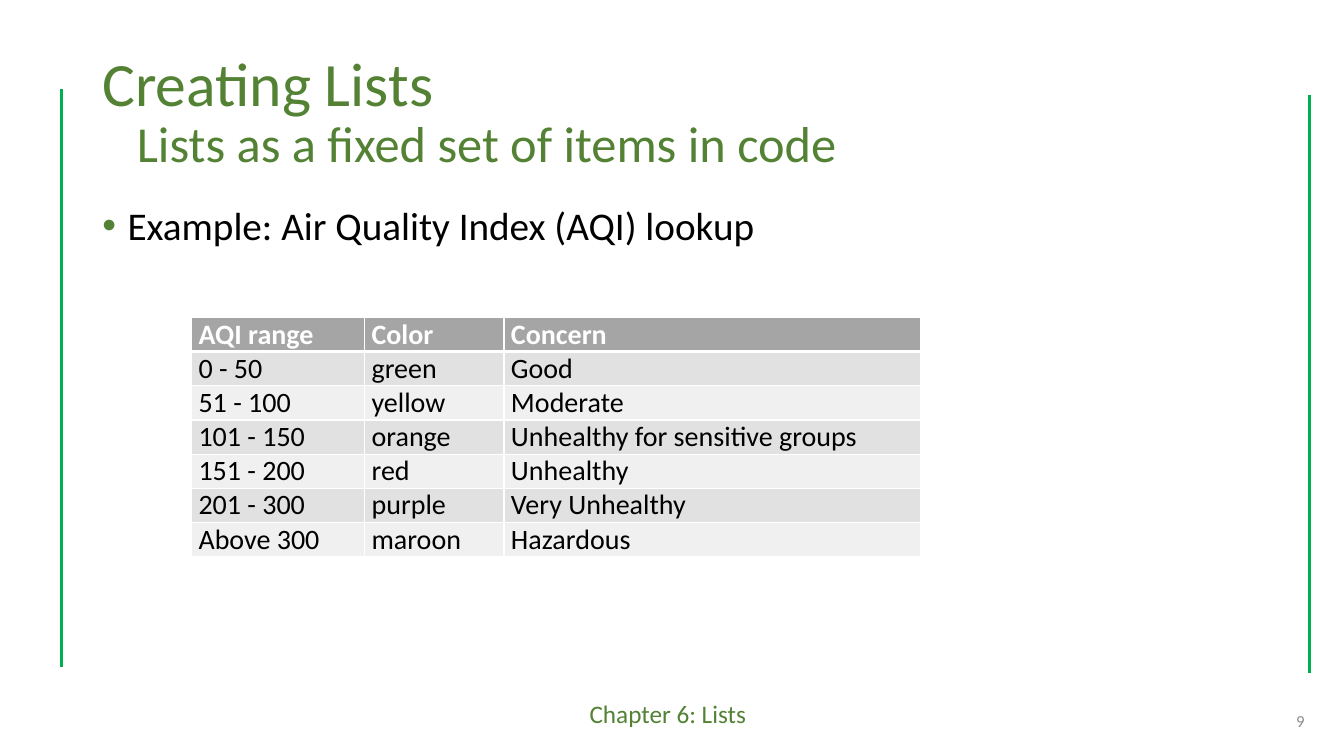
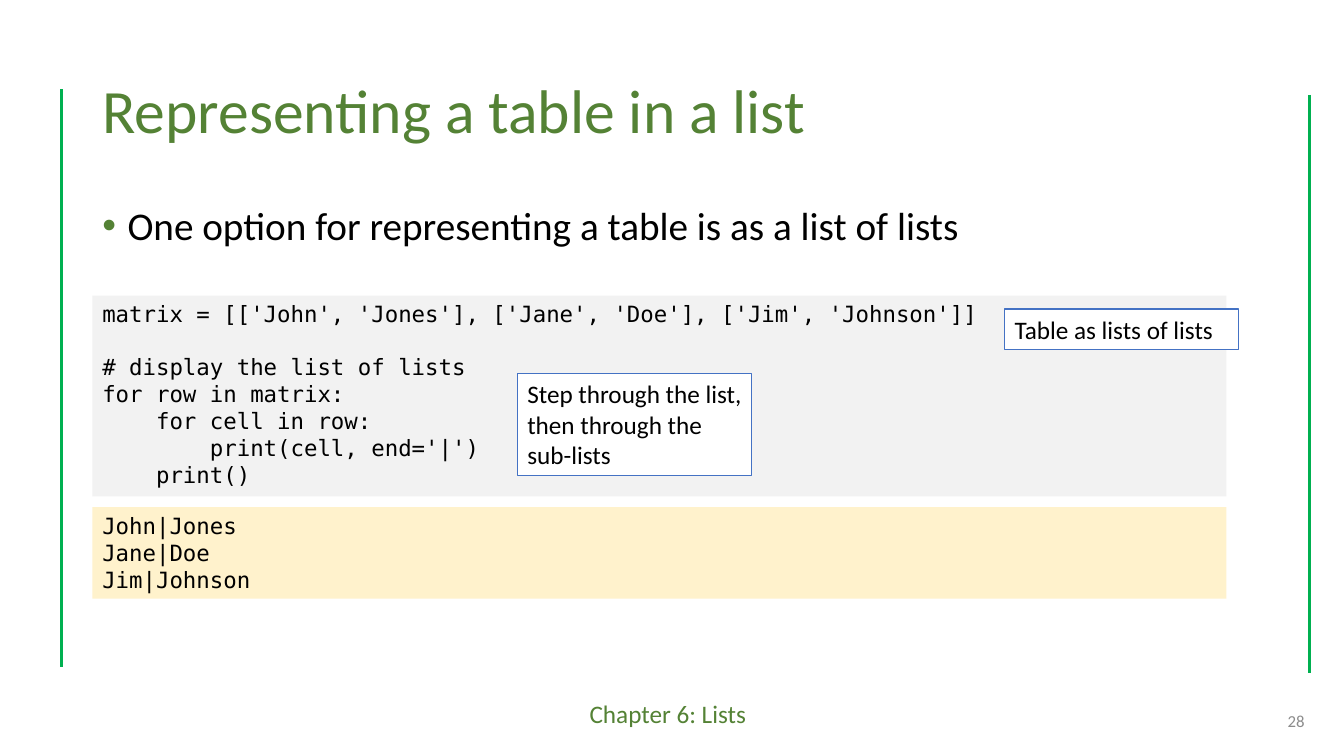
from lxml.etree import SubElement
from pptx import Presentation
from pptx.dml.color import RGBColor
from pptx.enum.shapes import MSO_CONNECTOR as Connector, MSO_SHAPE as Preset
from pptx.enum.text import MSO_ANCHOR as Anchor, PP_ALIGN as Align
from pptx.oxml import parse_xml
from pptx.oxml.ns import nsdecls, qn
from pptx.util import Inches, Pt

COLORS = {
    "title": "548235", "side line": "00B050", "text": "000000", "number": "8C8C8C",
    "white": "FFFFFF", "header": "A5A5A5", "odd row": "E1E1E1", "even row": "F0F0F0",
    "code": "F2F2F2", "output": "FFF2CC", "callout line": "4472C4",
}
BODY_FONT, CODE_FONT = "Calibri", "DejaVu Sans Mono"

presentation = Presentation()
presentation.slide_width, presentation.slide_height = Inches(13.33), Inches(7.5)
# The grid has 160 columns and 90 rows of square cells.
CELL = presentation.slide_width / 160


def grid(*cells):
    """Turn counts of grid cells into lengths."""
    return [round(count * CELL) for count in cells]


def add_text(slide, box, lines, size, color="text", font=BODY_FONT, fill=None, line=None,
             anchor=Anchor.TOP, align=Align.LEFT):
    """Add a text box, or a rectangle if a fill is given; return its paragraphs."""
    if fill:
        shape = slide.shapes.add_shape(Preset.RECTANGLE, *grid(*box))
        shape.shadow.inherit = False
        shape.fill.solid()
        shape.fill.fore_color.rgb = RGBColor.from_string(COLORS[fill])
        if line:
            shape.line.color.rgb = RGBColor.from_string(COLORS[line])
            shape.line.width = Pt(0.75)
        else:
            shape.line.fill.background()
    else:
        shape = slide.shapes.add_textbox(*grid(*box))
    frame = shape.text_frame
    frame.word_wrap = True
    frame.vertical_anchor = anchor
    for index, text in enumerate(lines):
        paragraph = frame.add_paragraph() if index else frame.paragraphs[0]
        paragraph.alignment = align
        run = paragraph.add_run()
        run.text = text
        run.font.name, run.font.size = font, Pt(size)
        run.font.color.rgb = RGBColor.from_string(COLORS[color])
    return frame.paragraphs


PAGES = [
    (["Creating Lists", "Lists as a fixed set of items in code"],
     "Example: Air Quality Index (AQI) lookup", "9"),
    (["Representing a table in a list"],
     "One option for representing a table is as a list of lists", "28"),
]
slides = []
for title, bullet, number in PAGES:
    slide = presentation.slides.add_slide(presentation.slide_layouts[6])
    slides.append(slide)
    add_text(slide, (68, 82.6, 23, 4.8), ["Chapter 6: Lists"], 18, "title", align=Align.CENTER)
    for column, top in ((7.3, 10.6), (155.9, 11.3)):
        side_line = slide.shapes.add_connector(
            Connector.STRAIGHT, *grid(column, top, column, top + 68.8))
        side_line.line.color.rgb = RGBColor.from_string(COLORS["side line"])
        side_line.line.width = Pt(2.25)
        SubElement(side_line._element.spPr, qn("a:effectLst"))

    title_lines = add_text(slide, (11, 4.8, 138, 17.4), title, 44, "title", anchor=Anchor.MIDDLE)
    for paragraph in title_lines:
        paragraph.line_spacing = 0.9
    for subtitle in title_lines[1:]:
        subtitle.runs[0].font.size = Pt(36)
        subtitle._p.get_or_add_pPr().set("marL", str(grid(4.1)[0]))

    item = add_text(slide, (11, 24, 138, 8), [bullet], 28)[0]
    item.line_spacing, item.space_before = 0.9, Pt(10)
    properties = item._p.get_or_add_pPr()
    properties.set("marL", str(grid(3)[0]))
    properties.set("indent", str(-grid(3)[0]))
    bullet_color = SubElement(properties, qn("a:buClr"))
    SubElement(bullet_color, qn("a:srgbClr"), val=COLORS["title"])
    SubElement(properties, qn("a:buFont"), typeface="Arial")
    SubElement(properties, qn("a:buChar"), char="•")

    add_text(slide, (120.5, 83.4, 36, 4.8), [number], 12, "number",
             anchor=Anchor.MIDDLE, align=Align.RIGHT)

lookup_slide, matrix_slide = slides

# Air quality table
AQI_ROWS = [
    ("AQI range", "Color", "Concern"),
    ("0 - 50", "green", "Good"),
    ("51 - 100", "yellow", "Moderate"),
    ("101 - 150", "orange", "Unhealthy for sensitive groups"),
    ("151 - 200", "red", "Unhealthy"),
    ("201 - 300", "purple", "Very Unhealthy"),
    ("Above 300", "maroon", "Hazardous"),
]
COLUMN_WIDTHS = grid(20.6, 16.6, 49.6)
ROW_HEIGHT = grid(4.07)[0]
table = lookup_slide.shapes.add_table(
    len(AQI_ROWS), len(COLUMN_WIDTHS), *grid(22.8, 37.8),
    sum(COLUMN_WIDTHS), ROW_HEIGHT * len(AQI_ROWS)).table
for column, width in zip(table.columns, COLUMN_WIDTHS):
    column.width = width
for row_index, values in enumerate(AQI_ROWS):
    table.rows[row_index].height = ROW_HEIGHT
    is_header = row_index == 0
    fill = "header" if is_header else "odd row" if row_index % 2 else "even row"
    border_widths = {"lnL": 1, "lnR": 1, "lnT": 3 if row_index == 1 else 1,
                     "lnB": 3 if is_header else 1}
    for column_index, value in enumerate(values):
        cell = table.cell(row_index, column_index)
        cell.margin_left = cell.margin_right = Inches(0.07)
        cell.margin_top = cell.margin_bottom = 0
        for side, width in border_widths.items():
            cell._tc.get_or_add_tcPr().append(parse_xml(
                f'<a:{side} {nsdecls("a")} w="{Pt(width)}"><a:solidFill>'
                f'<a:srgbClr val="{COLORS["white"]}"/></a:solidFill></a:{side}>'))
        cell.fill.solid()
        cell.fill.fore_color.rgb = RGBColor.from_string(COLORS[fill])
        run = cell.text_frame.paragraphs[0].add_run()
        run.text = value
        run.font.name, run.font.size, run.font.bold = BODY_FONT, Pt(20), is_header
        run.font.color.rgb = RGBColor.from_string(COLORS["white" if is_header else "text"])

# Code, its output and the callouts
CODE_LINES = [
    "matrix = [['John', 'Jones'], ['Jane', 'Doe'], ['Jim', 'Johnson']]",
    "# display the list of lists",
    "for row in matrix:",
    "    for cell in row:",
    "        print(cell, end='|')",
    "    print()",
]
code = add_text(matrix_slide, (11, 35.2, 135, 23.9), CODE_LINES, 16, font=CODE_FONT, fill="code")
code[1].space_before = Pt(18.6)
add_text(matrix_slide, (11, 60.4, 135, 10.9), ["John|Jones", "Jane|Doe", "Jim|Johnson"], 16,
         font=CODE_FONT, fill="output")
for box, note in (
    ((119.6, 36.8, 27.9, 4.8), "Table as lists of lists"),
    ((61.6, 44.5, 27.9, 12.1), "Step through the list, then through the sub-lists"),
):
    add_text(matrix_slide, box, [note], 18, fill="white", line="callout line")

presentation.save("out.pptx")
